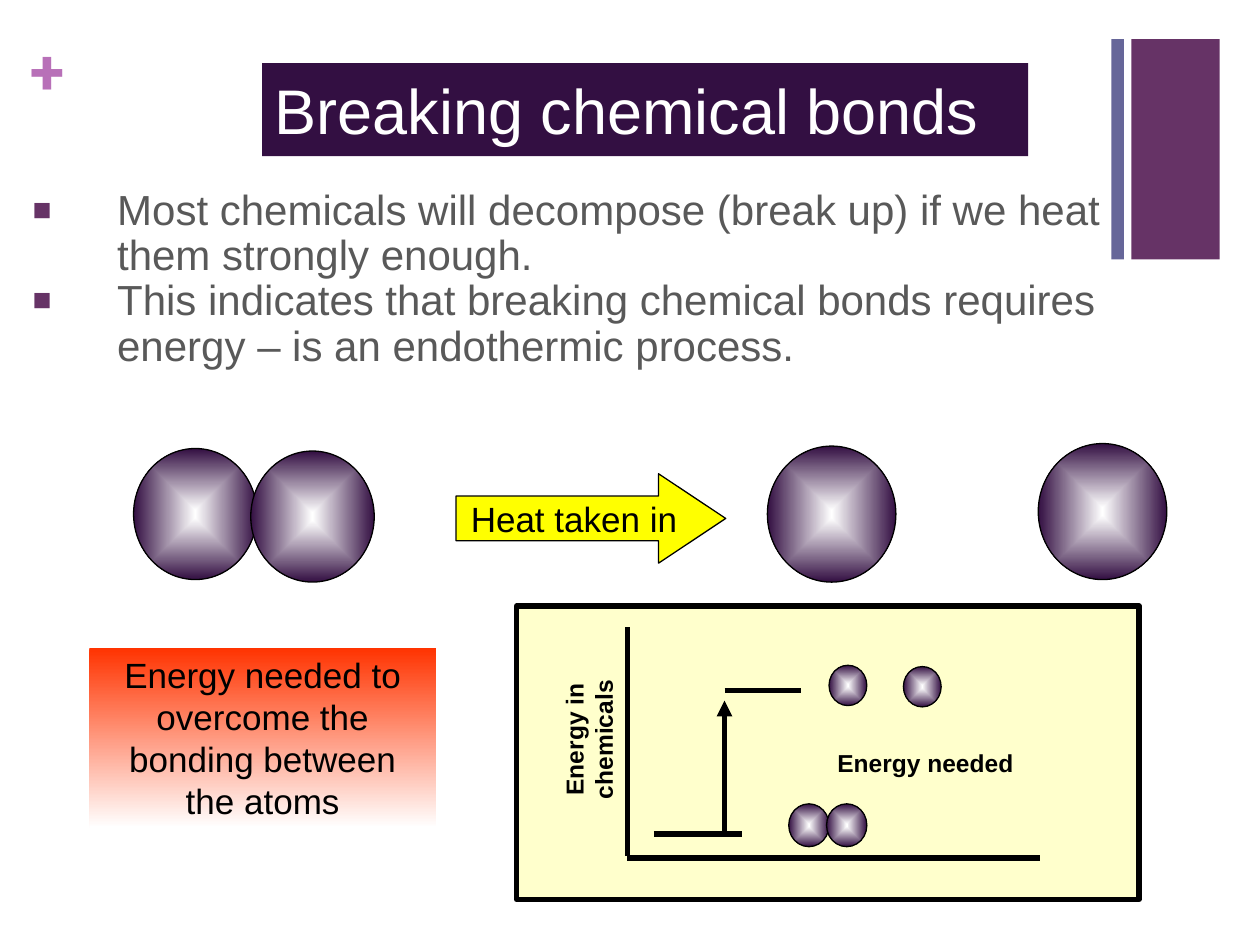
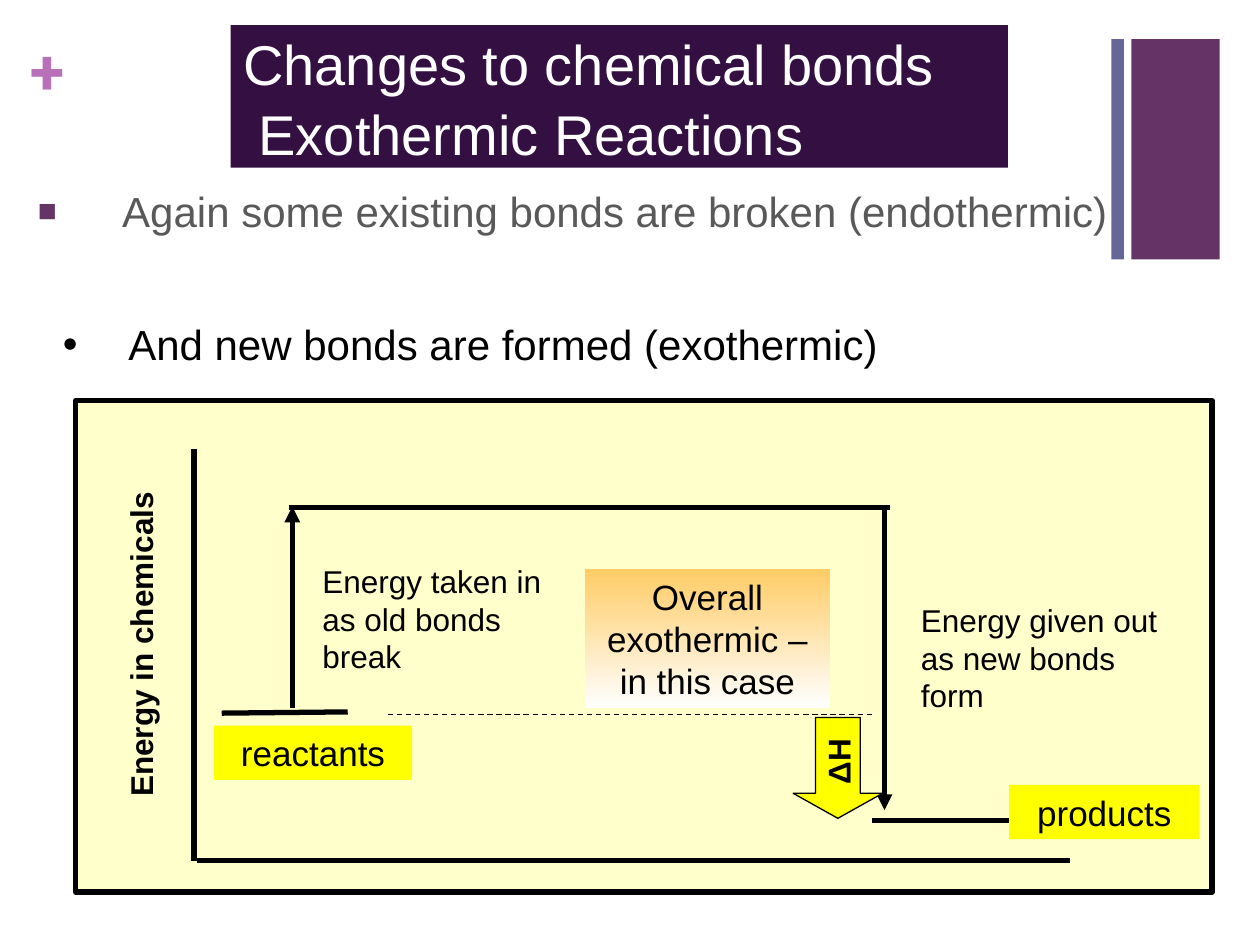
from pptx import Presentation
from pptx.dml.color import RGBColor
from pptx.enum.dml import MSO_LINE
from pptx.enum.shapes import MSO_CONNECTOR, MSO_SHAPE as Form
from pptx.enum.text import MSO_ANCHOR as Anchor, MSO_AUTO_SIZE as Fit, PP_ALIGN as Align
from pptx.oxml import parse_xml
from pptx.oxml.ns import nsdecls, qn
from pptx.util import Emu, Pt

PX = 9144
FONT = "Arial"
BLACK = RGBColor(0x00, 0x00, 0x00)
WHITE = RGBColor(0xFF, 0xFF, 0xFF)
GREY = RGBColor(0x59, 0x59, 0x59)
PLUM = RGBColor(0x66, 0x33, 0x66)
SLATE = RGBColor(0x66, 0x66, 0x99)
LILAC = RGBColor(0xB8, 0x70, 0xB8)
DARK = RGBColor(0x33, 0x0F, 0x42)
YELLOW = RGBColor(0xFF, 0xFF, 0x00)
CREAM = RGBColor(0xFF, 0xFF, 0xCC)
RED = RGBColor(0xFF, 0x33, 0x00)
GOLD = RGBColor(0xFF, 0xCC, 0x66)

AXIS = "Energy in chemicals"
SLIDES = [
    {
        "title": ("Breaking chemical bonds", (208, 50, 608, 74), 36, 1),
        "body": (["Most chemicals will decompose (break up) if we heat them strongly enough.",
                  "This indicates that breaking chemical bonds requires energy – is an endothermic process."],
                 (16, 145, 924, 193), 0.9),
        "parts": [
            ("orb", (609, 354, 102, 108)),
            ("orb", (824, 352, 102, 108)),
            ("arrow", "Heat taken in", (362, 376, 214, 71), 0.751),
            ("fade", "Energy needed to overcome the bonding between the atoms",
             (71, 514, 275, 143), RED),
            ("panel", (410, 481, 494, 233)),
            ("orb", (626, 638, 32, 34)),
            ("orb", (656, 638, 32, 34)),
            ("line", (498, 498, 498, 679)),
            ("line", (498, 681, 825, 681)),
            ("axis", AXIS, (371, 563, 192, 48), 14),
            ("line", (519, 662, 589, 662)),
            ("line", (575, 548, 636, 548)),
            ("line", (575, 660, 575, 556), "head"),
            ("orb", (658, 528, 30, 32)),
            ("orb", (717, 529, 30, 32)),
            ("note", "Energy needed", (632, 589, 205, 33), 14, True, Align.CENTER),
            ("orb", (106, 356, 98, 104)),
            ("orb", (199, 358, 98, 104)),
        ],
    },
    {
        "title": ("Changes to chemical bonds\v Exothermic Reactions", (183, 20, 617, 113), 32, 1.05),
        "body": (["Again some existing bonds are broken (endothermic)"],
                 (20, 142, 924, 193), 1),
        "parts": [
            ("panel", (60, 318, 902, 390)),
            ("line", (229, 403, 706, 403)),
            ("line", (232, 562, 232, 402), "head"),
            ("note", "Energy taken in as old bonds break", (246, 441, 215, 100), 18),
            ("point", "And new bonds are formed (exothermic)", (40, 248, 890, 50), 24),
            ("line", (154, 356, 154, 683)),
            ("line", (156, 683, 849, 683)),
            ("axis", AXIS, (-52, 478, 327, 67), 18),
            ("line", (176, 566, 276, 565)),
            ("line", (692, 651, 805, 651)),
            ("tag", "reactants", (170, 576, 157, 43)),
            ("tag", "products", (801, 623, 151, 43)),
            ("line", (702, 403, 702, 643), "head"),
            ("note", "Energy given out as new bonds form", (721, 472, 218, 100), 18),
            ("line", (308, 567, 694, 567), "dash"),
            ("drop", "ΔH", (625, 574, 80, 71), 0.279),
            ("fade", "Overall exothermic – in this case", (464, 452, 195, 110), GOLD),
        ],
    },
]


def emu(box):
    return [Emu(n * PX) for n in box]


def style(par, size, color=BLACK, bold=False, font=FONT):
    for run in par.runs:
        run.font.size, run.font.bold, run.font.name = Pt(size), bold, font
        run.font.color.rgb = color


def write(shape, text, size, bold=False, align=Align.CENTER, anchor=Anchor.TOP, wrap=True):
    frame = shape.text_frame
    frame.text = text
    frame.word_wrap = wrap
    frame.vertical_anchor = anchor
    par = frame.paragraphs[0]
    par.alignment = align
    style(par, size, bold=bold)


def bullet(par, char, indent, color=None, scale=100):
    props = par._p.get_or_add_pPr()
    props.set("marL", str(indent * PX))
    props.set("indent", str(-indent * PX))
    tags = [f'<a:buSzPct {nsdecls("a")} val="{scale * 1000}"/>',
            f'<a:buFont {nsdecls("a")} typeface="{FONT}"/>',
            f'<a:buChar {nsdecls("a")} char="{char}"/>']
    if color is not None:
        tags.insert(0, f'<a:buClr {nsdecls("a")}><a:srgbClr val="{color}"/></a:buClr>')
    for tag in tags:
        props.append(parse_xml(tag))


def draw(slide, form, box, fill=None, edge=0):
    shape = slide.shapes.add_shape(form, *emu(box))
    shape.shadow.inherit = False
    if fill is not None:
        shape.fill.solid()
        shape.fill.fore_color.rgb = fill
    if edge:
        shape.line.color.rgb = BLACK
        shape.line.width = Pt(edge)
    else:
        shape.line.fill.background()
    return shape


def blend(shape, start, end):
    shape.fill.gradient()
    shape.fill.gradient_angle = 270
    for stop, color in zip(shape.fill.gradient_stops, (start, end)):
        stop.color.rgb = color


def orb(slide, box):
    shape = draw(slide, Form.OVAL, box, edge=0.75)
    blend(shape, WHITE, DARK)
    grad = shape._element.spPr.find(qn("a:gradFill"))
    grad.replace(grad.find(qn("a:lin")), parse_xml(
        f'<a:path {nsdecls("a")} path="shape">'
        '<a:fillToRect l="50000" t="50000" r="50000" b="50000"/></a:path>'))


def panel(slide, box):
    draw(slide, Form.RECTANGLE, box, CREAM, 3)


def fade(slide, text, box, color):
    shape = draw(slide, Form.RECTANGLE, box)
    blend(shape, color, WHITE)
    write(shape, text, 20)


def tag(slide, text, box):
    write(draw(slide, Form.RECTANGLE, box, YELLOW), text, 20)


def arrow(slide, text, box, tip, size=20, bold=False, wrap=False):
    shape = draw(slide, Form.RIGHT_ARROW, box, YELLOW, 0.75)
    shape.adjustments[0], shape.adjustments[1] = 0.5, tip
    write(shape, text, size, bold, anchor=Anchor.MIDDLE, wrap=wrap)
    return shape


def drop(slide, text, box, tip):
    shape = arrow(slide, text, box, tip, 18, True, True)
    shape.rotation = 90
    shape._element.spPr.find(qn("a:xfrm")).set("flipV", "1")


def note(slide, text, box, size, bold=False, align=Align.LEFT):
    shape = slide.shapes.add_textbox(*emu(box))
    write(shape, text, size, bold, align)
    return shape


def axis(slide, text, box, size):
    shape = note(slide, text, box, size, True, Align.CENTER)
    shape.text_frame.word_wrap = False
    shape.text_frame.vertical_anchor = Anchor.MIDDLE
    shape.rotation = 270


def point(slide, text, box, size):
    shape = note(slide, text, box, size)
    bullet(shape.text_frame.paragraphs[0], "•", 52)


def line(slide, ends, kind=""):
    rule = slide.shapes.add_connector(MSO_CONNECTOR.STRAIGHT, *emu(ends))
    rule.line.color.rgb = BLACK
    rule.line.width = Pt(0.75 if kind == "dash" else 3)
    props = rule._element.spPr
    if kind == "dash":
        rule.line.dash_style = MSO_LINE.DASH
    if kind == "head":
        props.find(qn("a:ln")).append(parse_xml(f'<a:tailEnd {nsdecls("a")} type="triangle"/>'))
    props.append(parse_xml(f'<a:effectLst {nsdecls("a")}/>'))


def place(shape, box):
    shape.left, shape.top, shape.width, shape.height = emu(box)
    shape.text_frame.auto_size = Fit.NONE
    shape.text_frame.word_wrap = True


def decor(slide):
    draw(slide, Form.RECTANGLE, (898, 31, 70, 175), PLUM)
    draw(slide, Form.RECTANGLE, (882, 31, 10, 175), SLATE)
    plus = note(slide, "+", (24, 25, 29, 61), 36)
    frame = plus.text_frame
    frame.margin_left = frame.margin_right = frame.margin_top = frame.margin_bottom = 0
    style(frame.paragraphs[0], 36, LILAC, True, "Roboto Slab")


def head(slide, text, box, size, gap):
    title = slide.shapes.title
    place(title, box)
    title.fill.solid()
    title.fill.fore_color.rgb = DARK
    title.text_frame.text = text
    title.text_frame.vertical_anchor = Anchor.MIDDLE
    par = title.text_frame.paragraphs[0]
    par.alignment = Align.LEFT
    par.line_spacing = gap
    style(par, size, WHITE)


def body(slide, items, box, gap):
    holder = slide.placeholders[1]
    place(holder, box)
    frame = holder.text_frame
    frame.text = "\n".join(items)
    frame.vertical_anchor = Anchor.TOP
    for par in frame.paragraphs:
        par.line_spacing = gap
        par.space_before = Pt(0)
        bullet(par, "■", 67, PLUM, 75)
        style(par, 24, GREY)


DRAW = {"orb": orb, "panel": panel, "fade": fade, "tag": tag, "arrow": arrow,
        "drop": drop, "note": note, "axis": axis, "point": point, "line": line}


def main():
    deck = Presentation()
    deck.slide_width, deck.slide_height = emu((1000, 750))
    for page in SLIDES:
        slide = deck.slides.add_slide(deck.slide_layouts[1])
        decor(slide)
        head(slide, *page["title"])
        body(slide, *page["body"])
        for kind, *args in page["parts"]:
            DRAW[kind](slide, *args)
    deck.save("out.pptx")


if __name__ == "__main__":
    main()
